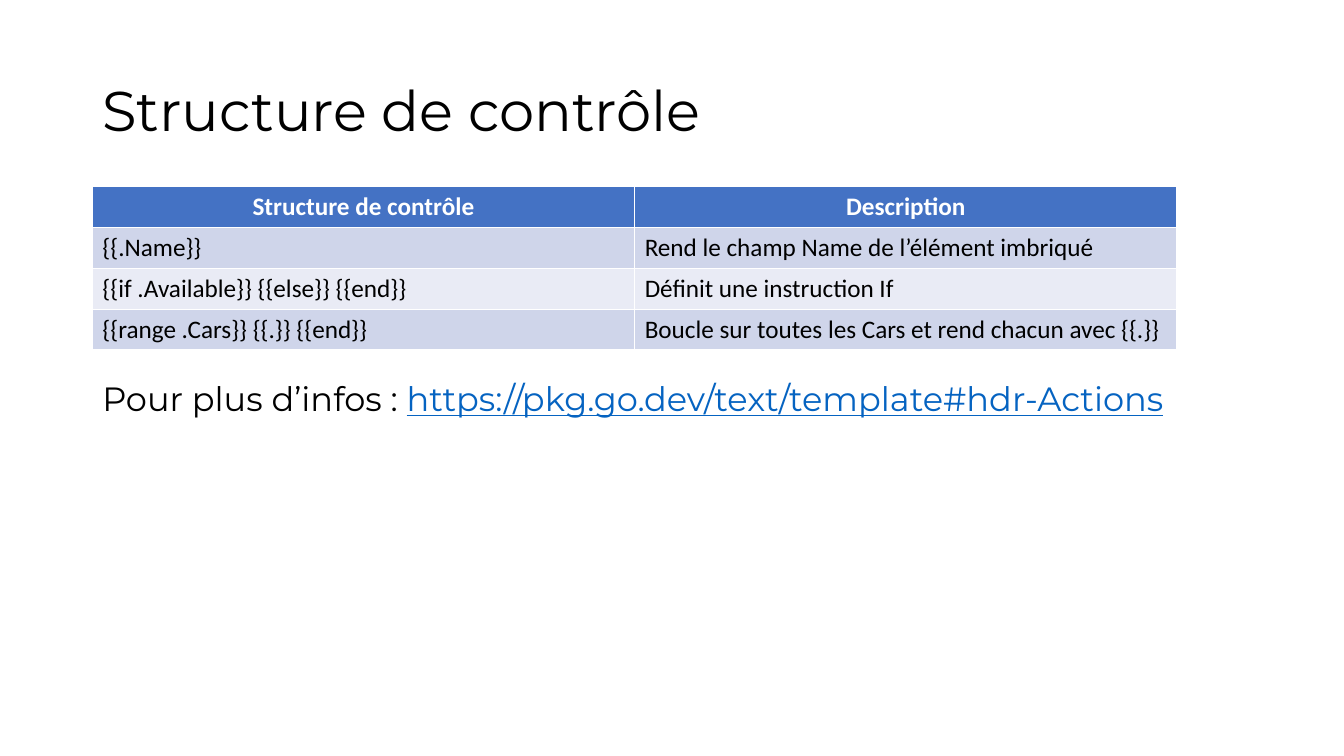
from pptx import Presentation
from pptx.dml.color import RGBColor
from pptx.enum import text
from pptx.util import Pt

BLACK, WHITE, LINK = "000000", "FFFFFF", "0563C1"
HEADER, BANDS = "4472C4", ("CFD5EA", "E9EBF5")
LEFT, WIDTH = 66, 828
COLUMN_WIDTH, ROW_HEIGHT = 387.36, 29.2

ROWS = [
    ("Structure de contrôle", "Description"),
    ("{{.Name}}", "Rend le champ Name de l’élément imbriqué"),
    ("{{if .Available}} {{else}} {{end}}", "Définit une instruction If"),
    ("{{range .Cars}} {{.}} {{end}}",
     "Boucle sur toutes les Cars et rend chacun avec {{.}}"),
]


def colour(value):
    return RGBColor.from_string(value)


def add_span(para, words, size, font="Montserrat", ink=BLACK, bold=False,
             underline=False):
    span = para.add_run()
    span.text = words
    span.font.name = font
    span.font.size = Pt(size)
    span.font.bold = bold
    span.font.underline = underline
    span.font.color.rgb = colour(ink)


def set_title(page, words):
    title = page.shapes.title
    title.left, title.top = Pt(LEFT), Pt(28.75)
    title.width, title.height = Pt(WIDTH), Pt(104.4)
    title.text_frame.vertical_anchor = text.MSO_ANCHOR.MIDDLE
    para = title.text_frame.paragraphs[0]
    para.alignment = text.PP_ALIGN.LEFT
    para.line_spacing = 0.9
    add_span(para, words, 40)


def add_grid(page, rows):
    """Add a table with a header row and banded body rows."""
    count = len(rows[0])
    table = page.shapes.add_table(
        len(rows), count, Pt(LEFT), Pt(133.2),
        Pt(COLUMN_WIDTH * count), Pt(ROW_HEIGHT * len(rows))).table
    for column in table.columns:
        column.width = Pt(COLUMN_WIDTH)
    for row_index, row in enumerate(rows):
        header = row_index == 0
        table.rows[row_index].height = Pt(ROW_HEIGHT)
        for column_index, words in enumerate(row):
            cell = table.cell(row_index, column_index)
            cell.fill.solid()
            cell.fill.fore_color.rgb = colour(
                HEADER if header else BANDS[(row_index - 1) % 2])
            para = cell.text_frame.paragraphs[0]
            if header:
                para.alignment = text.PP_ALIGN.CENTER
            add_span(para, words, 18, "Calibri", WHITE if header else BLACK,
                     bold=header)


def add_reference(page, label, address):
    box = page.shapes.add_textbox(Pt(LEFT), Pt(270), Pt(WIDTH), Pt(69.8))
    box.text_frame.word_wrap = True
    para = box.text_frame.paragraphs[0]
    para.line_spacing = 0.9
    para.space_before = Pt(10)
    add_span(para, label, 24)
    add_span(para, address, 24, ink=LINK, underline=True)


def main():
    deck = Presentation()
    deck.slide_width, deck.slide_height = Pt(960), Pt(540)
    page = deck.slides.add_slide(deck.slide_layouts[5])
    set_title(page, "Structure de contrôle")
    add_reference(page, "Pour plus d’infos : ",
                  "https://pkg.go.dev/text/template#hdr-Actions")
    add_grid(page, ROWS)
    deck.save("out.pptx")


if __name__ == "__main__":
    main()
